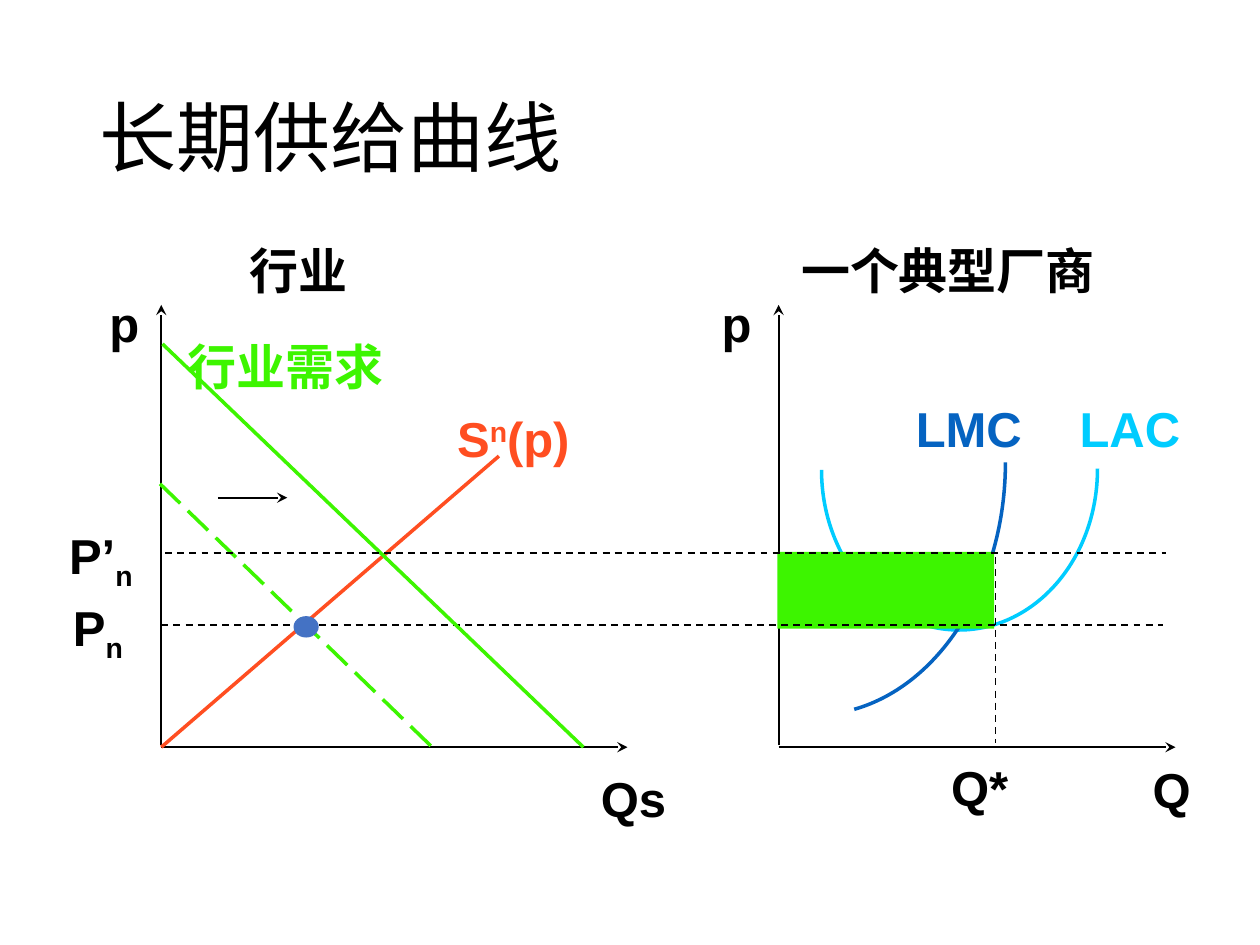
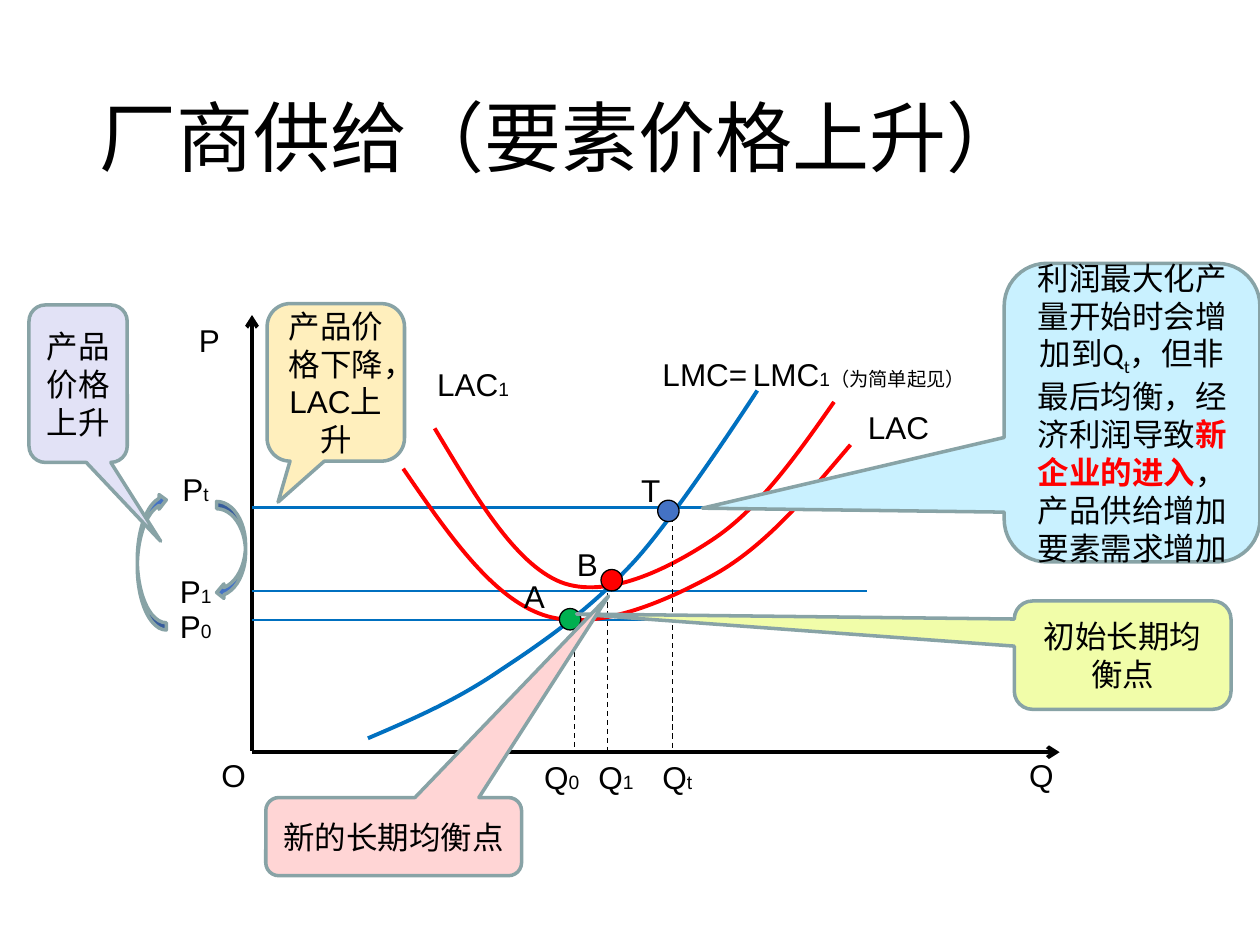
from typing import NamedTuple

from lxml.etree import SubElement
from pptx import Presentation
from pptx.dml.color import RGBColor
from pptx.enum.dml import MSO_LINE as Dash
from pptx.enum.shapes import MSO_CONNECTOR as Link, MSO_SHAPE as Form
from pptx.enum.text import MSO_ANCHOR as Anchor, MSO_AUTO_SIZE as Fit, PP_ALIGN as Align
from pptx.oxml.ns import qn
from pptx.util import Pt

PX = 9144  # 100 px to the inch
BLACK, GREEN, ORANGE, SKY, NAVY = "000000", "3DF500", "FF4E21", "00CCFF", "0563C1"
BLUE, RED, DOT, EDGE = "0070C0", "FF0000", "4472C4", "88A3A6"


class Run(NamedTuple):
    text: str
    base: int = 0
    size: float = 0
    hue: str = ""
    bold: bool = False


class Font(NamedTuple):
    size: float
    bold: bool = False
    name: str = "Arial"


class Label(NamedTuple):
    x: int
    y: int
    w: int
    runs: list[Run]
    hue: str = BLACK


class Line(NamedTuple):
    x1: int
    y1: int
    x2: int
    y2: int
    hue: str = BLACK
    width: float = 1
    dash: Dash | None = None
    tip: str = ""


class Curve(NamedTuple):
    points: list[tuple[int, int]]  # start, then three points per Bezier piece
    hue: str
    width: float


class Block(NamedTuple):
    form: Form
    x: int
    y: int
    w: int
    h: int
    fill: str
    edge: str = ""
    width: float = 0


class Note(NamedTuple):
    block: Block
    aim: tuple[float, float]
    runs: list[Run]
    font: Font


BIG, SMALL = Font(28, True), Font(18)


def color(hue: str) -> RGBColor:
    return RGBColor.from_string(hue)


def write(par, runs: list[Run], font: Font, hue: str) -> None:
    for part in runs:
        run = par.add_run()
        run.text = part.text
        if part.base:
            run._r.get_or_add_rPr().set("baseline", str(part.base * 1000))
        if part.size:
            run.font.size = Pt(part.size)
        if part.hue:
            run.font.color.rgb = color(part.hue)
        if part.bold:
            run.font.bold = True
    par.font.name, par.font.size, par.font.bold = font.name, Pt(font.size), font.bold
    par.font.color.rgb = color(hue)


def start(deck, title: str):
    slide = deck.slides.add_slide(deck.slide_layouts[5])
    box = slide.shapes.title
    box.left, box.top, box.width, box.height = (n * PX for n in (69, 40, 862, 145))
    box.text_frame.vertical_anchor = Anchor.MIDDLE
    par = box.text_frame.paragraphs[0]
    par.alignment, par.line_spacing = Align.LEFT, 0.9
    write(par, [Run(title)], Font(44, name="Calibri"), BLACK)
    return slide


def label(slide, item: Label, font: Font, high: int, wrap: bool) -> None:
    box = slide.shapes.add_textbox(item.x * PX, item.y * PX, item.w * PX, high * PX)
    frame = box.text_frame
    frame.word_wrap, frame.auto_size = wrap, Fit.SHAPE_TO_FIT_TEXT
    write(frame.paragraphs[0], item.runs, font, item.hue)


def stroke(shape, hue: str, width: float) -> None:
    shape.line.color.rgb = color(hue)
    shape.line.width = Pt(width)


def line(slide, item: Line) -> None:
    ends = (n * PX for n in item[:4])
    link = slide.shapes.add_connector(Link.STRAIGHT, *ends)
    stroke(link, item.hue, item.width)
    if item.dash:
        link.line.dash_style = item.dash
    props = link._element.spPr
    if item.tip:
        SubElement(props.find(qn("a:ln")), qn("a:tailEnd"), type=item.tip)
    SubElement(props, qn("a:effectLst"))


def curve(slide, item: Curve) -> None:
    pen = slide.shapes.build_freeform(*item.points[0], scale=PX)
    pen.add_line_segments(item.points[1:], close=False)
    shape = pen.convert_to_shape()
    shape.shadow.inherit = False
    shape.fill.background()
    stroke(shape, item.hue, item.width)
    # Turn each three straight steps into one Bezier piece
    steps = list(shape._element.iter(qn("a:lnTo")))
    track = steps[0].getparent()
    for i in range(0, len(steps), 3):
        bend = SubElement(track, qn("a:cubicBezTo"))
        for step in steps[i:i + 3]:
            bend.append(step[0])
            track.remove(step)


def block(slide, item: Block):
    shape = slide.shapes.add_shape(item.form, *(n * PX for n in item[1:5]))
    shape.shadow.inherit = False
    shape.fill.solid()
    shape.fill.fore_color.rgb = color(item.fill)
    if item.edge:
        stroke(shape, item.edge, item.width)
    else:
        shape.line.fill.background()
    return shape


def note(slide, item: Note) -> None:
    shape = block(slide, item.block)
    shape.adjustments[0], shape.adjustments[1] = item.aim
    frame = shape.text_frame
    frame.word_wrap, frame.vertical_anchor = True, Anchor.MIDDLE
    par = frame.paragraphs[0]
    par.alignment = Align.CENTER
    write(par, item.runs, item.font, BLACK)


def market(deck) -> None:
    slide = start(deck, "长期供给曲线")
    # Axes of both charts
    for x, end in ((128, 498), (618, 933)):
        line(slide, Line(x, 591, x, 242, tip="stealth"))
        line(slide, Line(x, 593, end, 593, tip="stealth"))
    # Cost curves and supply
    curve(slide, Curve([(871, 372), (871, 443), (822, 500), (761, 500),
                        (701, 500), (652, 443), (652, 373)], SKY, 2))
    curve(slide, Curve([(798, 367), (798, 461), (748, 543), (678, 563)], NAVY, 2))
    line(slide, Line(128, 593, 396, 362, ORANGE, 2))
    # Labels
    for item in (
        Label(353, 319, 113, [Run("S"), Run("n", 30), Run("(p)")], ORANGE),
        Label(139, 262, 176, [Run("行业需求")], GREEN),
        Label(847, 311, 101, [Run("LAC")], SKY),
        Label(717, 311, 106, [Run("LMC")], NAVY),
        Label(905, 598, 51, [Run("Q")]),
        Label(626, 186, 257, [Run("一个典型厂商")]),
        Label(188, 186, 99, [Run("行业")]),
        Label(77, 228, 44, [Run("p")]),
        Label(563, 228, 44, [Run("p")]),
        Label(467, 605, 73, [Run("Qs")]),
        Label(745, 596, 66, [Run("Q*")]),
        Label(45, 412, 73, [Run("P’"), Run("n", -25)]),
        Label(48, 469, 62, [Run("P"), Run("n", -25)]),
    ):
        label(slide, item, BIG, 57, False)
    # Profit area, demand shift and price levels
    line(slide, Line(790, 442, 790, 590, dash=Dash.DASH))
    block(slide, Block(Form.RECTANGLE, 617, 438, 172, 61, GREEN))
    for item in (
        Line(127, 384, 343, 593, GREEN, 2, Dash.LONG_DASH),
        Line(173, 395, 228, 395, tip="stealth"),
        Line(128, 496, 923, 496, dash=Dash.DASH),
        Line(129, 273, 463, 593, GREEN, 2),
        Line(131, 439, 925, 439, dash=Dash.DASH),
    ):
        line(slide, item)
    block(slide, Block(Form.OVAL, 233, 489, 20, 17, DOT))


def firm(deck) -> None:
    slide = start(deck, "厂商供给（要素价格上升）")
    # Axes and price levels
    line(slide, Line(200, 596, 200, 250, width=2.25, tip="arrow"))
    line(slide, Line(200, 597, 841, 597, width=2.25, tip="arrow"))
    for y in (403, 469, 492):
        line(slide, Line(200, y, 688, y, BLUE, 1.5))
    # Cost curves
    for hue, points in (
        (BLUE, [(292, 586), (327, 571), (362, 556), (397, 532), (432, 509),
                (469, 483), (503, 446), (537, 409), (601, 310), (601, 310)]),
        (RED, [(320, 372), (355, 423), (390, 474), (431, 488), (472, 502),
               (527, 478), (567, 456), (608, 433), (641, 393), (675, 353)]),
        (RED, [(345, 340), (377, 393), (408, 447), (445, 462), (481, 476),
               (530, 452), (566, 428), (602, 404), (632, 362), (662, 319)]),
    ):
        curve(slide, Curve(points, hue, 2.25))
    # Labels, each with an optional small index
    for x, y, w, name, mark in (
        (679, 319, 77, "LAC", ""), (337, 285, 111, "LAC", "1"),
        (148, 250, 60, "P", ""), (135, 368, 60, "P", "t"),
        (133, 449, 60, "P", "1"), (133, 477, 60, "P", "0"),
        (166, 595, 60, "O", ""), (422, 597, 60, "Q", "0"),
        (465, 597, 60, "Q", "1"), (516, 597, 60, "Q", "t"),
        (807, 595, 60, "Q", ""), (499, 369, 51, "T", ""),
        (448, 428, 51, "B", ""), (406, 453, 51, "A", ""),
    ):
        runs = [Run(name)] + ([Run(mark, size=11)] if mark else [])
        label(slide, Label(x, y, w, runs), SMALL, 44, True)
    label(slide, Label(516, 277, 273, [
        Run("LMC="), Run(" ", size=11), Run("LMC"), Run("1（为简单起见）", size=11),
    ]), SMALL, 40, True)
    # Quantity drops
    for x, y in ((534, 403), (482, 471), (456, 496)):
        line(slide, Line(x, y, x, 597, width=0.75, dash=Dash.DASH))
    # Price cycle arrows
    for x, y, h, turn in ((109, 391, 109, 180), (172, 398, 78, 0)):
        arrow = block(slide, Block(Form.CURVED_RIGHT_ARROW, x, y, 23, h, DOT, EDGE, 2))
        arrow.rotation = turn
        arrow._element.spPr.find(qn("a:xfrm")).set("flipH", "1")
    # Balance points
    for x, y, fill in ((444, 483, "00B050"), (522, 397, DOT), (477, 452, RED)):
        block(slide, Block(Form.OVAL, x, y, 17, 17, fill, BLACK, 0.75))
    # Callouts
    for x, y, w, h, fill, aim, runs, font in (
        (805, 477, 172, 86, "F1FDA9", (-2.52, -0.38), [Run("初始长期均衡点")], SMALL),
        (23, 242, 78, 125, "E2E2F6", (0.84, 1), [Run("产品价格上升")], SMALL),
        (797, 209, 203, 237, "C9F1FF", (-1.68, 0.32), [
            Run("利润最大化产量开始时会增加到Q"), Run("t", -25),
            Run("，但非最后均衡，经济利润导致"),
            Run("新企业的进入", hue=RED, bold=True),
            Run("，产品供给增加要素需求增加"),
        ], Font(18, name="Calibri")),
        (212, 241, 109, 125, "FFEFBD", (-0.42, 0.76), [Run("产品价格下降，LAC上升")], SMALL),
        (211, 633, 203, 62, "FFD5D5", (0.84, -3.08), [Run("新的长期均衡点")], SMALL),
    ):
        box = Block(Form.ROUNDED_RECTANGULAR_CALLOUT, x, y, w, h, fill, EDGE, 2)
        note(slide, Note(box, aim, runs, font))


def main() -> None:
    deck = Presentation()
    deck.slide_width, deck.slide_height = 1000 * PX, 750 * PX
    market(deck)
    firm(deck)
    deck.save("out.pptx")


if __name__ == "__main__":
    main()
